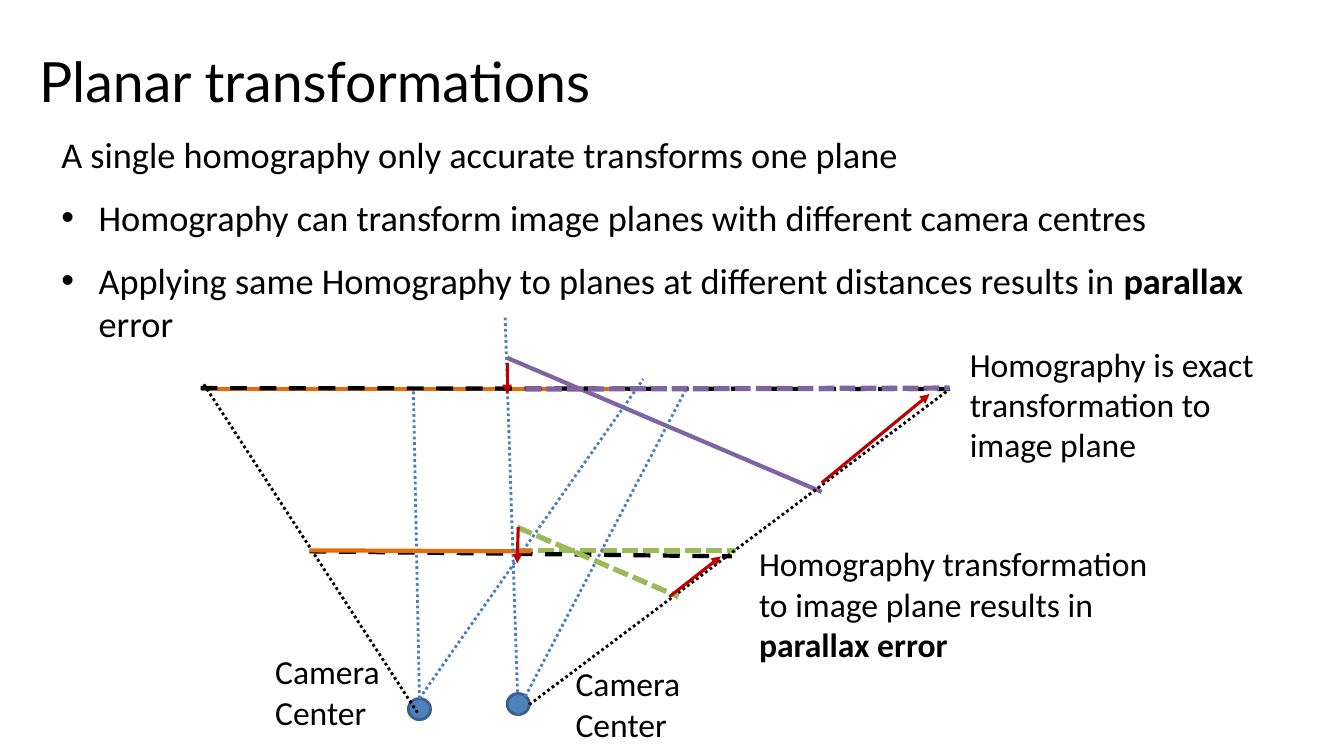
import pptx
import pptx.dml.color
import pptx.enum.dml
import pptx.enum.shapes
import pptx.enum.text
import pptx.oxml
import pptx.oxml.ns
import pptx.util
from dataclasses import dataclass


@dataclass(frozen=True)
class Theme:
    black: str = "000000"
    camera: str = "4F81BD"
    camera_edge: str = "3A5F8C"
    ray: str = "4B7EBC"
    plane: str = "E46C0A"
    far_view: str = "8064A2"
    near_view: str = "9BBB59"
    shift: str = "C00000"
    title_font: str = "Lato"
    body_font: str = "Calibri"
    title_size: float = 39.6
    body_size: float = 25.9
    label_size: float = 24


theme = Theme()
rgb = pptx.dml.color.RGBColor.from_string
dashes = pptx.enum.dml.MSO_LINE
anchors = pptx.enum.text.MSO_ANCHOR

presentation = pptx.Presentation()
presentation.slide_width = pptx.util.Inches(13.33)
presentation.slide_height = pptx.util.Inches(7.5)
slide = presentation.slides.add_slide(presentation.slide_layouts[6])

# The grid has 133.3 columns and 75 rows of square cells.
CELL = presentation.slide_width / 133.3


def grid(*cells):
    return [round(cell * CELL) for cell in cells]


def add_text(box, paragraphs, font, size, anchor=anchors.TOP):
    """Add a text box; each paragraph is a list of (text, bold) runs."""
    text_frame = slide.shapes.add_textbox(*grid(*box)).text_frame
    text_frame.word_wrap = True
    text_frame.vertical_anchor = anchor
    for index, runs in enumerate(paragraphs):
        paragraph = text_frame.paragraphs[0] if index == 0 else text_frame.add_paragraph()
        for text, bold in runs:
            run = paragraph.add_run()
            run.text = text
            run.font.name = font
            run.font.size = pptx.util.Pt(size)
            run.font.bold = bold
            run.font.color.rgb = rgb(theme.black)
    return text_frame


add_text((2.9, 1.1, 127.3, 10.7), [[("Planar transformations", False)]],
         theme.title_font, theme.title_size, anchors.BOTTOM)

body = add_text((5.1, 12.6, 126, 20.3), [
    [("A single homography only accurate transforms one plane", False)],
    [("Homography can transform image planes with different camera centres", False)],
    [("Applying same Homography to planes at different distances results in ", False),
     ("parallax", True), (" error", False)],
], theme.body_font, theme.body_size)
indent = grid(3.7)[0]
for paragraph in body.paragraphs[1:]:
    paragraph.space_before = pptx.util.Pt(14)
    properties = paragraph._p.get_or_add_pPr()
    properties.set("marL", str(indent))
    properties.set("indent", str(-indent))
    namespace = pptx.oxml.ns.nsdecls("a")
    properties.append(pptx.oxml.parse_xml(f'<a:buFont {namespace} typeface="Arial"/>'))
    properties.append(pptx.oxml.parse_xml(f'<a:buChar {namespace} char="•"/>'))

# Camera centres
for left, top in [(40.5, 69.3), (50.3, 68.8)]:
    camera = slide.shapes.add_shape(pptx.enum.shapes.MSO_SHAPE.OVAL, *grid(left, top, 2.2, 2.1))
    camera.shadow.inherit = False
    camera.fill.solid()
    camera.fill.fore_color.rgb = rgb(theme.camera)
    camera.line.color.rgb = rgb(theme.camera_edge)
    camera.line.width = pptx.util.Pt(2)

# Line styles: colour, width, dash, arrowhead
sight_ray = (theme.ray, 2, dashes.ROUND_DOT, False)
view_edge = (theme.black, 2, dashes.ROUND_DOT, False)
image_plane = (theme.black, 3, dashes.DASH, False)
left_view = (theme.plane, 3, None, False)
tilted_far_view = (theme.far_view, 3, None, False)
flat_far_view = (theme.far_view, 3.75, dashes.SQUARE_DOT, False)
near_view = (theme.near_view, 3.75, dashes.SQUARE_DOT, False)
shift_arrow = (theme.shift, 2.25, None, True)

left_center = (41.6, 69.3)
far_corner = (94.2, 38.6)

# Back to front
lines = [
    ((51.3, 54.6), (73, 54.6), near_view),
    ((19.9, 38.6), (63, 38.6), left_view),
    ((50.3, 35.5), (81.5, 48.8), tilted_far_view),
    (left_center, (41, 38.6), sight_ray),
    ((41.4, 70.7), (20.2, 38.1), view_edge),
    (left_center, (63.8, 37.6), sight_ray),
    ((19.9, 38.5), far_corner, image_plane),
    ((52.5, 69.9), far_corner, view_edge),
    ((52.1, 69.1), (68.1, 38.5), sight_ray),
    ((30.7, 54.7), (72.6, 55.2), image_plane),
    ((51.3, 52.3), (67.3, 59.2), near_view),
    ((30.7, 54.6), (52.7, 54.7), left_view),
    ((51.4, 70.9), (50.1, 31.5), sight_ray),
    ((52.1, 38.6), (94.2, 38.5), flat_far_view),
    ((81.5, 47.9), (92.2, 39.1), shift_arrow),
    ((66.4, 59.2), (71.5, 55.2), shift_arrow),
    ((51.4, 52.3), (51.3, 55.9), shift_arrow),
    ((50.3, 36), (50.3, 39.1), shift_arrow),
]
for start, end, (color, width, dash, arrow) in lines:
    connector = slide.shapes.add_connector(
        pptx.enum.shapes.MSO_CONNECTOR.STRAIGHT, *grid(*start, *end))
    connector.line.color.rgb = rgb(color)
    connector.line.width = pptx.util.Pt(width)
    if dash is not None:
        connector.line.dash_style = dash
    if arrow:
        connector.line._get_or_add_ln().append(pptx.oxml.parse_xml(
            f'<a:tailEnd {pptx.oxml.ns.nsdecls("a")} type="triangle"/>'))
    connector._element.spPr.append(pptx.oxml.parse_xml(
        f'<a:effectLst {pptx.oxml.ns.nsdecls("a")}/>'))

labels = [
    ((26.3, 64.1, 13.2, 9.1), [("Camera Center", False)]),
    ((56.1, 65.3, 13.2, 9.1), [("Camera Center", False)]),
    ((95.2, 33.6, 30.3, 13.1), [("Homography is exact transformation to image plane", False)]),
    ((74.3, 53.4, 40.9, 13.1), [("Homography transformation to image plane results in ", False),
                                ("parallax error", True)]),
]
for box, runs in labels:
    add_text(box, [runs], theme.body_font, theme.label_size)

presentation.save("out.pptx")
